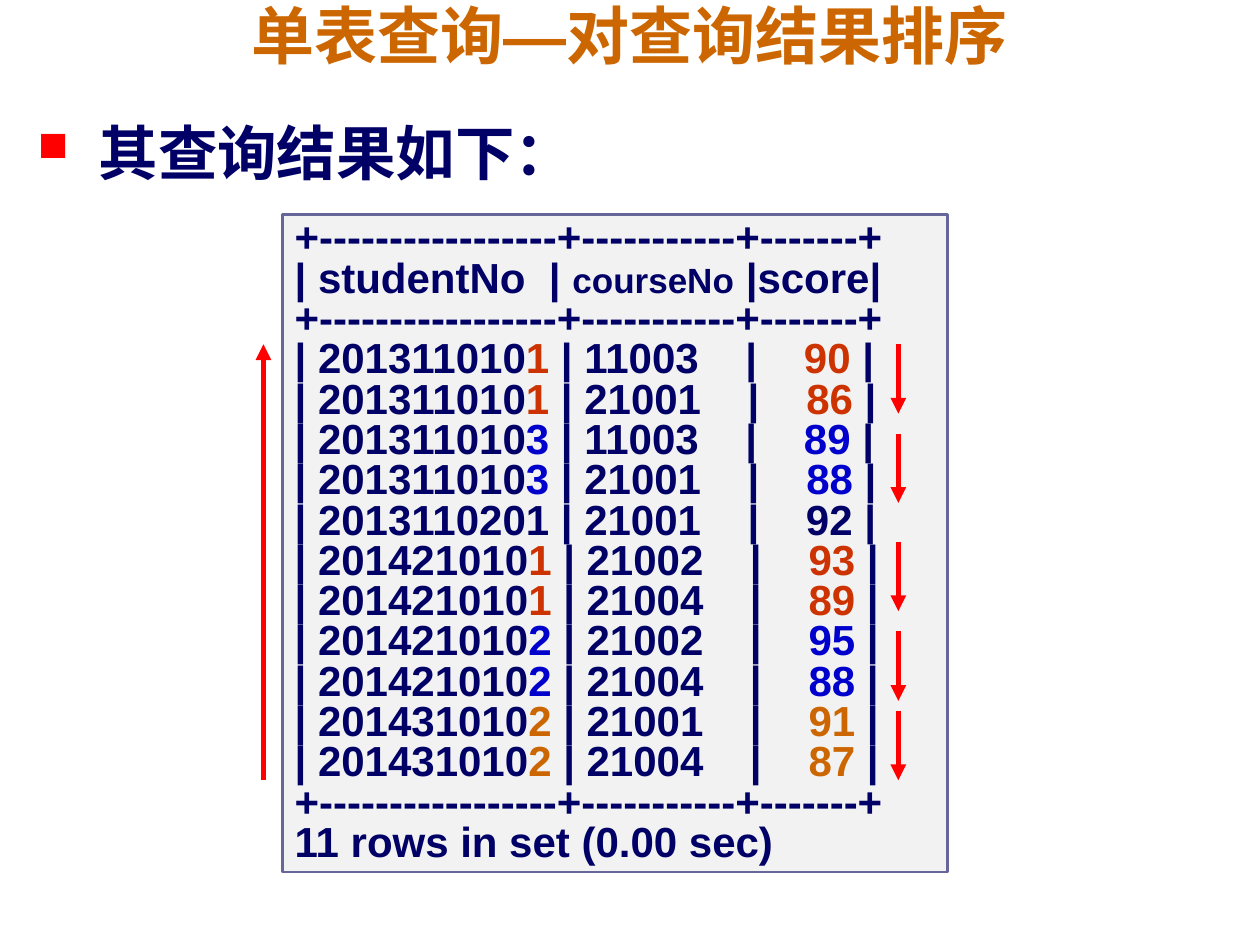
import pptx
import pptx.util
import pptx.dml.color
import pptx.enum.shapes
import pptx.enum.text
import pptx.oxml.ns
from dataclasses import dataclass
from lxml import etree
from pptx.util import Cm


@dataclass(frozen=True)
class Theme:
    navy: str = "000066"
    orange: str = "CC6600"
    brick: str = "CC3300"
    blue: str = "0000CC"
    red: str = "FF0000"
    panel_fill: str = "F2F2F2"
    panel_line: str = "666699"
    cjk: str = "Noto Sans CJK SC"
    latin: str = "Arial"
    title_size: int = 36
    bullet_size: int = 34
    output_size: int = 24
    small_size: int = 20


THEME = Theme()
RULE = "+-----------------+-----------+-------+"
RESULTS = [
    ("2013110101", "11003", "90", THEME.brick),
    ("2013110101", "21001", "86", THEME.brick),
    ("2013110103", "11003", "89", THEME.blue),
    ("2013110103", "21001", "88", THEME.blue),
    ("2013110201", "21001", "92", THEME.navy),
    ("2014210101", "21002", "93", THEME.brick),
    ("2014210101", "21004", "89", THEME.brick),
    ("2014210102", "21002", "95", THEME.blue),
    ("2014210102", "21004", "88", THEME.blue),
    ("2014310102", "21001", "91", THEME.orange),
    ("2014310102", "21004", "87", THEME.orange),
]


def rgb(value):
    return pptx.dml.color.RGBColor.from_string(value)


def add_element(parent, tag, **attributes):
    return etree.SubElement(parent, pptx.oxml.ns.qn(tag), attributes)


def add_run(paragraph, text, size, color, font):
    run = paragraph.add_run()
    run.text = text
    run.font.size = pptx.util.Pt(size)
    run.font.bold = True
    run.font.color.rgb = rgb(color)
    run.font.name = font
    add_element(run.font._element, "a:ea", typeface=font)


def add_text_frame(slide, box):
    frame = slide.shapes.add_textbox(*box).text_frame
    frame.word_wrap = True
    return frame


def add_title(slide, box):
    frame = add_text_frame(slide, box)
    frame.margin_left = frame.margin_right = 0
    frame.margin_top = frame.margin_bottom = 0
    frame.vertical_anchor = pptx.enum.text.MSO_ANCHOR.MIDDLE
    title = frame.paragraphs[0]
    title.alignment = pptx.enum.text.PP_ALIGN.CENTER
    title.line_spacing = 0.8
    for text, font in [("单表查询", THEME.cjk), ("—", THEME.latin),
                       ("对查询结果排序", THEME.cjk)]:
        add_run(title, text, THEME.title_size, THEME.orange, font)


def add_lead(slide, box):
    lead = add_text_frame(slide, box).paragraphs[0]
    lead.line_spacing = 1.2
    # Red square bullet with a hanging indent
    properties = lead._p.get_or_add_pPr()
    properties.set("marL", str(Cm(1.23)))
    properties.set("indent", str(-Cm(1.23)))
    bullet_color = add_element(properties, "a:buClr")
    add_element(bullet_color, "a:srgbClr", val=THEME.red)
    add_element(properties, "a:buSzPct", val="70000")
    add_element(properties, "a:buChar", char="■")
    add_run(lead, "其查询结果如下：", THEME.bullet_size, THEME.navy, THEME.cjk)


def output_lines():
    """Each console line as (text, size, colour) pieces."""
    def plain(text):
        return text, THEME.output_size, THEME.navy

    yield [plain(RULE)]
    yield [plain("| studentNo  | "),
           ("courseNo", THEME.small_size, THEME.navy), plain(" |score|")]
    yield [plain(RULE)]
    for student, course, score, accent in RESULTS:
        yield [plain(f"| {student[:-1]}"),
               (student[-1], THEME.output_size, accent),
               plain(f" | {course}    |    "),
               (score, THEME.output_size, accent), plain(" |")]
    yield [plain(RULE)]
    yield [plain(f"{len(RESULTS)} rows in set (0.00 sec)")]


def add_query_output(slide, box):
    panel = slide.shapes.add_shape(
        pptx.enum.shapes.MSO_SHAPE.RECTANGLE, *box)
    panel.shadow.inherit = False
    panel.fill.solid()
    panel.fill.fore_color.rgb = rgb(THEME.panel_fill)
    panel.line.color.rgb = rgb(THEME.panel_line)
    panel.line.width = pptx.util.Pt(1.5)
    frame = panel.text_frame
    frame.word_wrap = True
    frame.vertical_anchor = pptx.enum.text.MSO_ANCHOR.TOP
    for index, pieces in enumerate(output_lines()):
        line = frame.add_paragraph() if index else frame.paragraphs[0]
        line.alignment = pptx.enum.text.PP_ALIGN.LEFT
        line.line_spacing = 0.8
        for text, size, color in pieces:
            add_run(line, text, size, color, THEME.latin)


def add_arrow(slide, x, start, end):
    arrow = slide.shapes.add_connector(
        pptx.enum.shapes.MSO_CONNECTOR.STRAIGHT, x, start, x, end)
    arrow.line.color.rgb = rgb(THEME.red)
    arrow.line.width = pptx.util.Pt(3)
    add_element(arrow.line._get_or_add_ln(), "a:tailEnd", type="triangle")
    add_element(arrow._element.spPr, "a:effectLst")


def add_sort_arrows(slide, box):
    left, top, _, _ = box
    # Student numbers ascend over the whole result
    add_arrow(slide, left - Cm(0.38), top + Cm(11.4), top + Cm(2.62))
    # Scores descend within each student
    for offset in (2.62, 4.42, 6.6, 8.41, 10.01):
        start = top + Cm(offset)
        add_arrow(slide, left + Cm(12.42), start, start + Cm(1.4))


def main():
    deck = pptx.Presentation()
    deck.slide_width, deck.slide_height = Cm(25.4), Cm(19.05)
    slide = deck.slides.add_slide(deck.slide_layouts[6])
    add_title(slide, (Cm(0.69), Cm(0.13), Cm(24), Cm(1.4)))
    add_lead(slide, (Cm(0.51), Cm(1.93), Cm(24.41), Cm(16.61)))
    output_box = (Cm(5.69), Cm(4.32), Cm(13.41), Cm(13.26))
    add_query_output(slide, output_box)
    add_sort_arrows(slide, output_box)
    deck.save("out.pptx")


if __name__ == "__main__":
    main()
